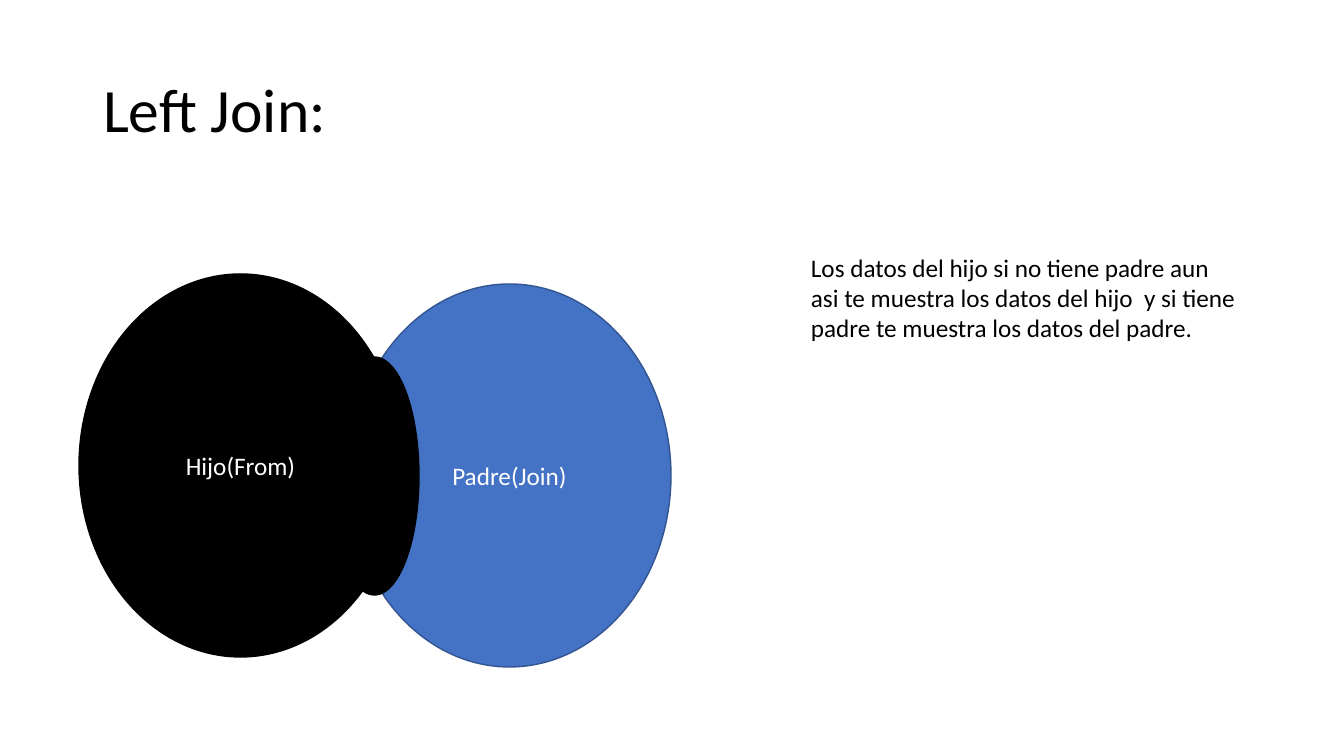
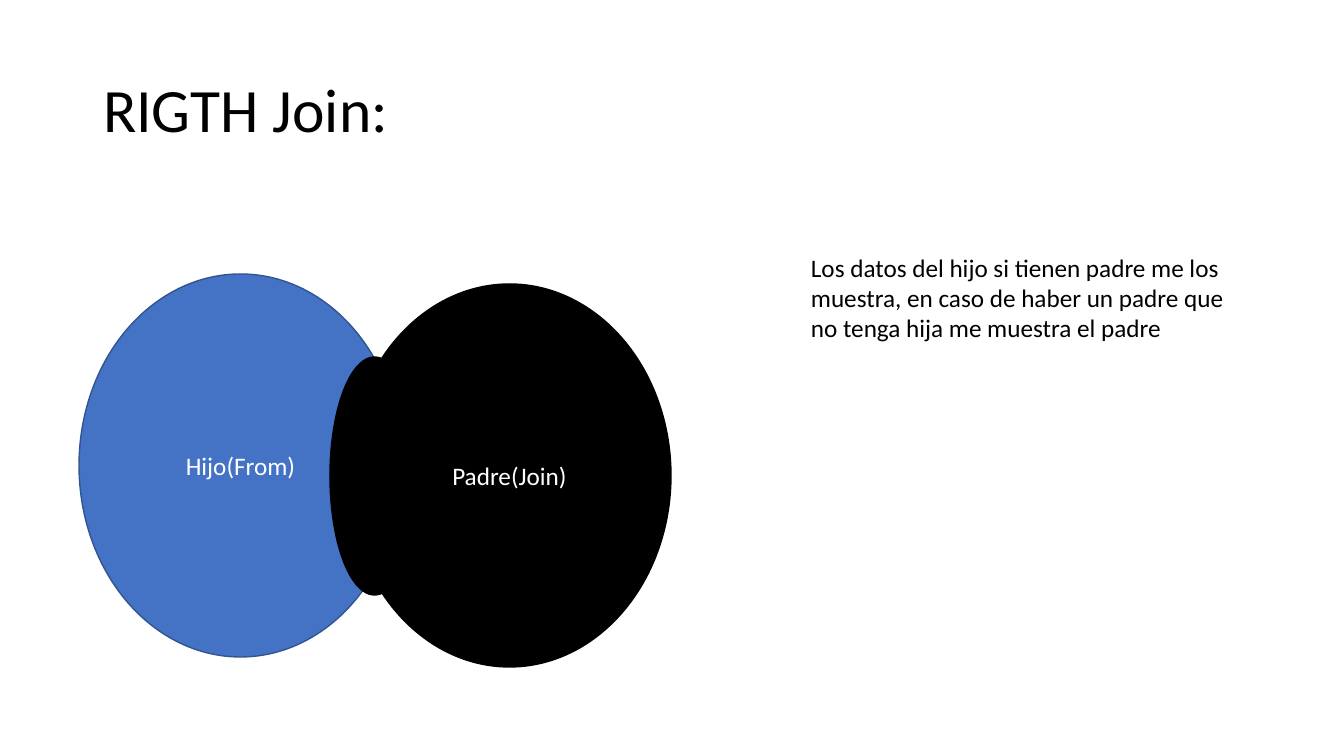
from pptx import Presentation
from pptx.dml.color import RGBColor
from pptx.enum.shapes import MSO_SHAPE
from pptx.enum.text import MSO_ANCHOR, MSO_AUTO_SIZE, PP_ALIGN
from pptx.util import Pt

OVAL = MSO_SHAPE.OVAL
MIDDLE, TOP = MSO_ANCHOR.MIDDLE, MSO_ANCHOR.TOP
LEFT, CENTER = PP_ALIGN.LEFT, PP_ALIGN.CENTER
NO_FIT = MSO_AUTO_SIZE.NONE

BLACK = RGBColor(0x00, 0x00, 0x00)
WHITE = RGBColor(0xFF, 0xFF, 0xFF)
BLUE = RGBColor(0x44, 0x72, 0xC4)
NAVY = RGBColor(0x32, 0x54, 0x91)
FONT = "Calibri"

# Content: title, chosen table, explanation
JOINS = [
    ("Left Join:", "Hijo(From)",
     "Los datos del hijo si no tiene padre aun  asi te muestra los datos "
     "del hijo  y si tiene padre te muestra los datos del padre."),
    ("RIGTH Join:", "Padre(Join)",
     "Los datos del hijo si tienen padre me los muestra, en caso de haber "
     "un padre que no tenga hija me muestra el padre"),
]

# Layout in pixels: left, top, width, height
SETS = {"Hijo(From)": (79, 274, 323, 383), "Padre(Join)": (348, 284, 323, 383)}
OVERLAP = (330, 357, 89, 238)
TITLE = (93, 40, 1159, 146)
NOTE = (801, 247, 450, 102)
SCALE = 914400 / 100.8


def emu(box):
    return [round(n * SCALE) for n in box]


def write(shape, text, size, color, align, anchor):
    frame = shape.text_frame
    frame.text = text
    frame.word_wrap = True
    frame.auto_size = NO_FIT
    frame.vertical_anchor = anchor
    para = frame.paragraphs[0]
    para.alignment = align
    para.font.name = FONT
    para.font.size = Pt(size)
    para.font.color.rgb = color
    return para


def add_oval(slide, box, fill, line):
    oval = slide.shapes.add_shape(OVAL, *emu(box))
    oval.shadow.inherit = False
    oval.fill.solid()
    oval.fill.fore_color.rgb = fill
    oval.line.color.rgb = line
    oval.line.width = Pt(1)
    return oval


def add_title(slide, text):
    title = slide.shapes.title
    title.left, title.top, title.width, title.height = emu(TITLE)
    para = write(title, text, 44, BLACK, LEFT, MIDDLE)
    para.line_spacing = 0.9


prs = Presentation()
prs.slide_width, prs.slide_height = emu((1344, 756))
layout = prs.slide_layouts.get_by_name("Title Only")

for head, chosen, note in JOINS:
    slide = prs.slides.add_slide(layout)
    add_title(slide, head)

    # Venn diagram: the chosen set and the overlap are black
    for name, box in SETS.items():
        fill, line = (BLACK, BLACK) if name == chosen else (BLUE, NAVY)
        oval = add_oval(slide, box, fill, line)
        write(oval, name, 18, WHITE, CENTER, MIDDLE)
    add_oval(slide, OVERLAP, BLACK, BLACK)

    # Explanation
    area = slide.shapes.add_textbox(*emu(NOTE))
    write(area, note, 18, BLACK, LEFT, TOP)

prs.save("out.pptx")
